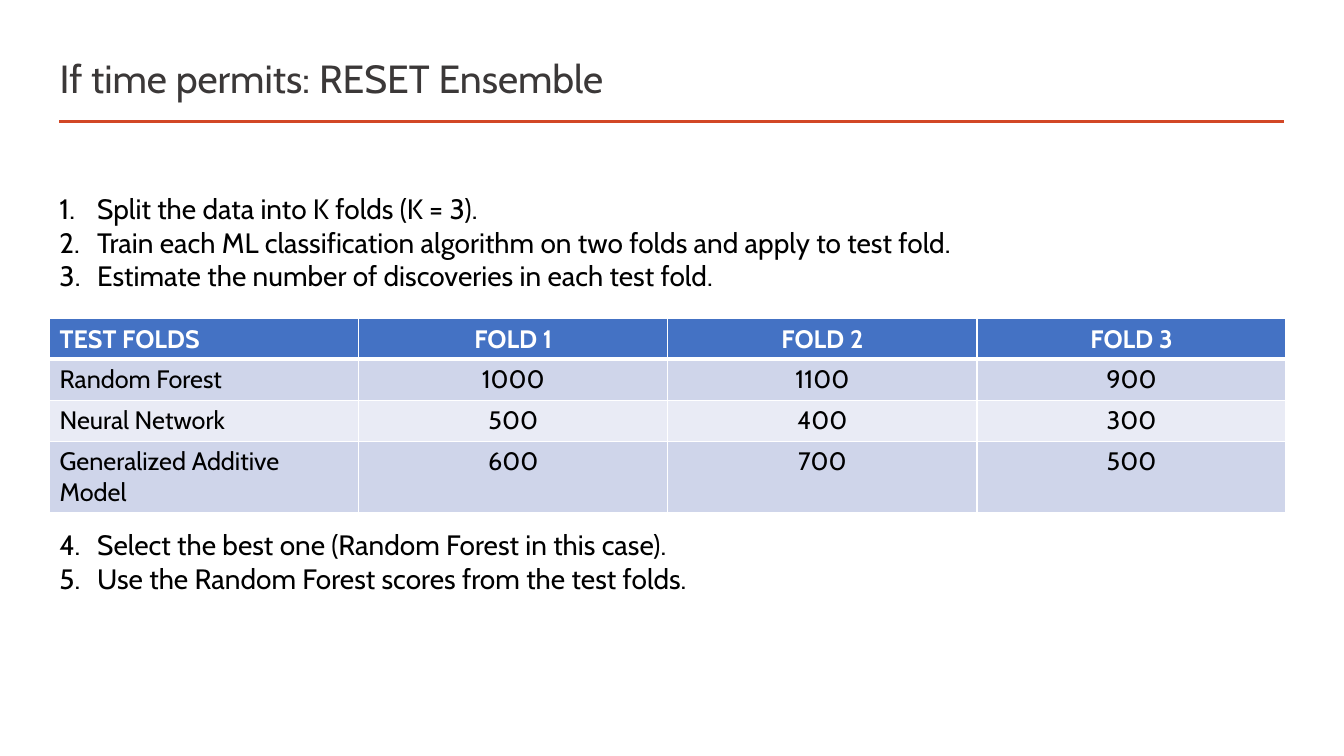
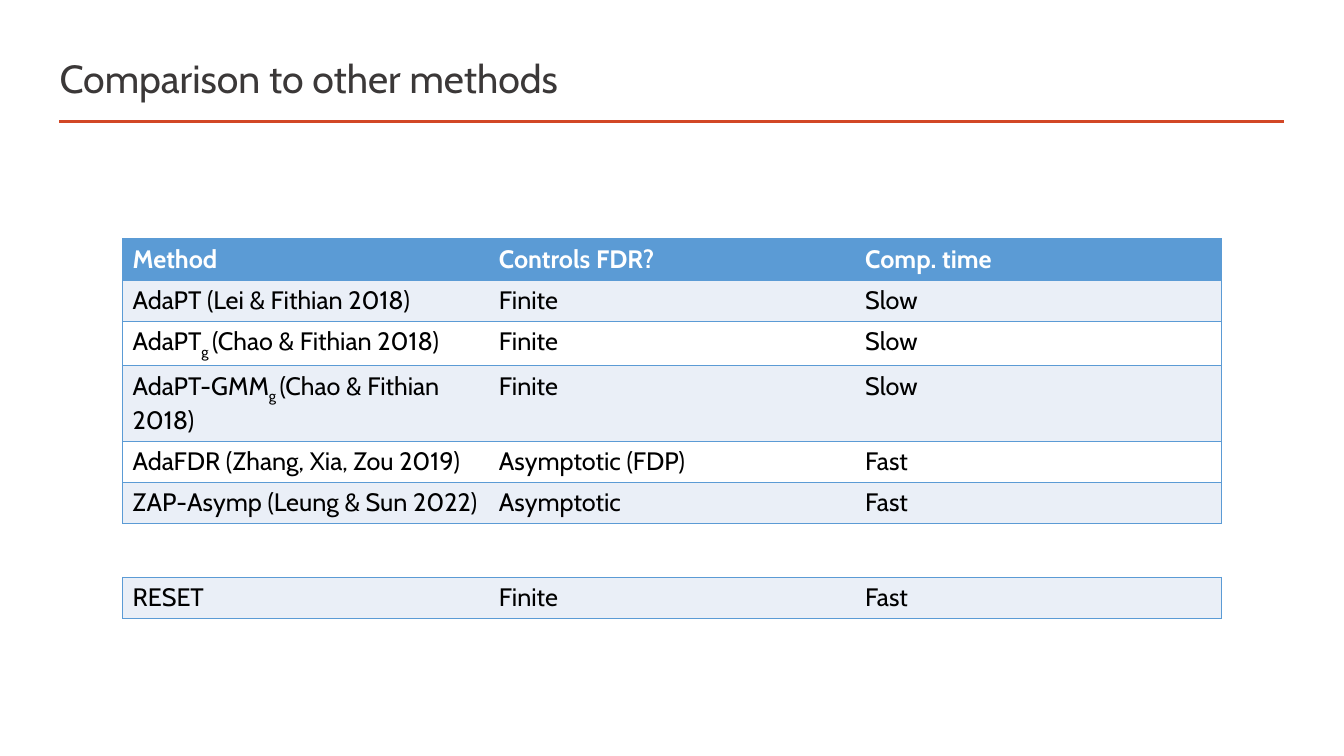
import pptx
import pptx.dml.color
import pptx.enum.shapes
import pptx.enum.text
import pptx.oxml.ns
import pptx.util
from lxml import etree

Cm, Pt = pptx.util.Cm, pptx.util.Pt
qn = pptx.oxml.ns.qn
ALIGN = pptx.enum.text.PP_ALIGN
FONT = "Cabin"
NO_STYLE = "{2D5ABB26-0587-4C30-8999-92F81FD0307C}"
COLOURS = {
    "title": "3B3838", "rule": "D24726", "text": "000000", "white": "FFFFFF",
    "fold_head": "4472C4", "fold_dark": "CFD5EA", "fold_light": "E9EBF5",
    "method_head": "5B9BD5", "method_band": "EAEFF7",
}


def rgb(name):
    return pptx.dml.color.RGBColor.from_string(COLOURS[name])


def write(p, text, size=18, colour="text", bold=False, align=ALIGN.LEFT):
    """Fill a paragraph; in a tuple of texts every second one is a subscript."""
    p.alignment = align
    parts = (text,) if isinstance(text, str) else text
    for i, part in enumerate(parts):
        r = p.add_run()
        r.text = part
        r.font.name, r.font.size, r.font.bold = FONT, Pt(size), bold
        r.font.color.rgb = rgb(colour)
        if i % 2:
            r._r.get_or_add_rPr().set("baseline", "-25000")


def add_border(cell, side, colour, width):
    ln = etree.SubElement(cell._tc.get_or_add_tcPr(), qn("a:ln" + side),
                          w=str(Pt(width)))
    if not width:
        etree.SubElement(ln, qn("a:noFill"))
        return
    fill = etree.SubElement(ln, qn("a:solidFill"))
    etree.SubElement(fill, qn("a:srgbClr"), val=COLOURS[colour])


class Deck:
    def __init__(self):
        self.prs = pptx.Presentation()
        self.prs.slide_width, self.prs.slide_height = Cm(33.87), Cm(19.05)
        self.s = None

    def slide(self, title):
        self.s = self.prs.slides.add_slide(self.prs.slide_layouts[5])
        sp = self.s.shapes.title
        sp.left, sp.top, sp.width, sp.height = Cm(1.25), Cm(1.19), Cm(31.14), Cm(1.55)
        tf = sp.text_frame
        tf.auto_size = pptx.enum.text.MSO_AUTO_SIZE.NONE
        tf.vertical_anchor = pptx.enum.text.MSO_ANCHOR.MIDDLE
        write(tf.paragraphs[0], title, size=28, colour="title")
        self.rule(1.49, 32.37, 3.07)

    def rule(self, left, right, y):
        line = self.s.shapes.add_connector(
            pptx.enum.shapes.MSO_CONNECTOR.STRAIGHT, Cm(left), Cm(y), Cm(right), Cm(y))
        line.line.color.rgb, line.line.width = rgb("rule"), Pt(2)
        etree.SubElement(line._element.spPr, qn("a:effectLst"))

    def numbered_list(self, top, items, start=1):
        sp = self.s.shapes.add_textbox(Cm(1.25), Cm(top), Cm(31.4),
                                       Cm(0.25 + 0.85 * len(items)))
        tf = sp.text_frame
        tf.word_wrap = True
        for i, item in enumerate(items):
            p = tf.add_paragraph() if i else tf.paragraphs[0]
            pPr = p._p.get_or_add_pPr()
            pPr.set("marL", str(Cm(0.95)))
            pPr.set("indent", str(-Cm(0.95)))
            etree.SubElement(pPr, qn("a:buFont"), typeface=FONT)
            etree.SubElement(pPr, qn("a:buAutoNum"), type="arabicPeriod",
                             startAt=str(start))
            write(p, item, size=20)

    def table(self, left, top, col_width, rows, bands, line, head=None,
              head_height=1.04, head_line=1, inner_line=0, align=ALIGN.LEFT):
        """Draw a banded table; align applies to all columns but the first."""
        n_rows, n_cols = len(rows), len(rows[0])
        heights = [head_height if head and i == 0 else 1.04 for i in range(n_rows)]
        table = self.s.shapes.add_table(
            n_rows, n_cols, Cm(left), Cm(top), Cm(col_width * n_cols),
            Cm(sum(heights))).table
        table._tbl.tblPr.find(qn("a:tableStyleId")).text = NO_STYLE
        for col in table.columns:
            col.width = Cm(col_width)
        for i, row in enumerate(rows):
            table.rows[i].height = Cm(heights[i])
            is_head = bool(head) and i == 0
            for j, text in enumerate(row):
                cell = table.cell(i, j)
                widths = {
                    "L": inner_line if j else 1,
                    "R": inner_line if j < n_cols - 1 else 1,
                    "T": head_line if head and i == 1 else 1,
                    "B": head_line if is_head else 1,
                }
                for side, width in widths.items():
                    add_border(cell, side, line, width)
                cell.fill.solid()
                cell.fill.fore_color.rgb = rgb(
                    head if is_head else bands[(i - bool(head)) % 2])
                write(cell.text_frame.paragraphs[0], text, bold=is_head,
                      colour="white" if is_head else "text",
                      align=align if j else ALIGN.LEFT)


def ensemble_slide(deck):
    deck.slide("If time permits: RESET Ensemble")
    before = [
        "Split the data into K folds (K = 3).",
        "Train each ML classification algorithm on two folds and apply to test fold.",
        "Estimate the number of discoveries in each test fold.",
    ]
    after = [
        "Select the best one (Random Forest in this case).",
        "Use the Random Forest scores from the test folds.",
    ]
    folds = [
        ("TEST FOLDS", "FOLD 1", "FOLD 2", "FOLD 3"),
        ("Random Forest", "1000", "1100", "900"),
        ("Neural Network", "500", "400", "300"),
        ("Generalized Additive Model", "600", "700", "500"),
    ]
    deck.numbered_list(4.7, before)
    deck.table(1.25, 8.03, 7.79, folds, ("fold_dark", "fold_light"), "white",
               head="fold_head", head_height=0.99, head_line=3, inner_line=1,
               align=ALIGN.CENTER)
    deck.numbered_list(13.17, after, start=len(before) + 1)


def comparison_slide(deck):
    deck.slide("Comparison to other methods")
    methods = [
        ("Method", "Controls FDR?", "Comp. time"),
        ("AdaPT (Lei & Fithian 2018)", "Finite", "Slow"),
        (("AdaPT", "g ", "(Chao & Fithian 2018)"), "Finite", "Slow"),
        (("AdaPT-GMM", "g ", "(Chao & Fithian 2018)"), "Finite", "Slow"),
        ("AdaFDR (Zhang, Xia, Zou 2019)", "Asymptotic (FDP)", "Fast"),
        ("ZAP-Asymp (Leung & Sun 2022)", "Asymptotic", "Fast"),
    ]
    bands = ("method_band", "white")
    deck.table(3.09, 6.02, 9.23, methods, bands, "method_head", head="method_head")
    deck.table(3.09, 14.55, 9.23, [("RESET", "Finite", "Fast")], bands, "method_head")


def main():
    deck = Deck()
    ensemble_slide(deck)
    comparison_slide(deck)
    deck.prs.save("out.pptx")


if __name__ == "__main__":
    main()
